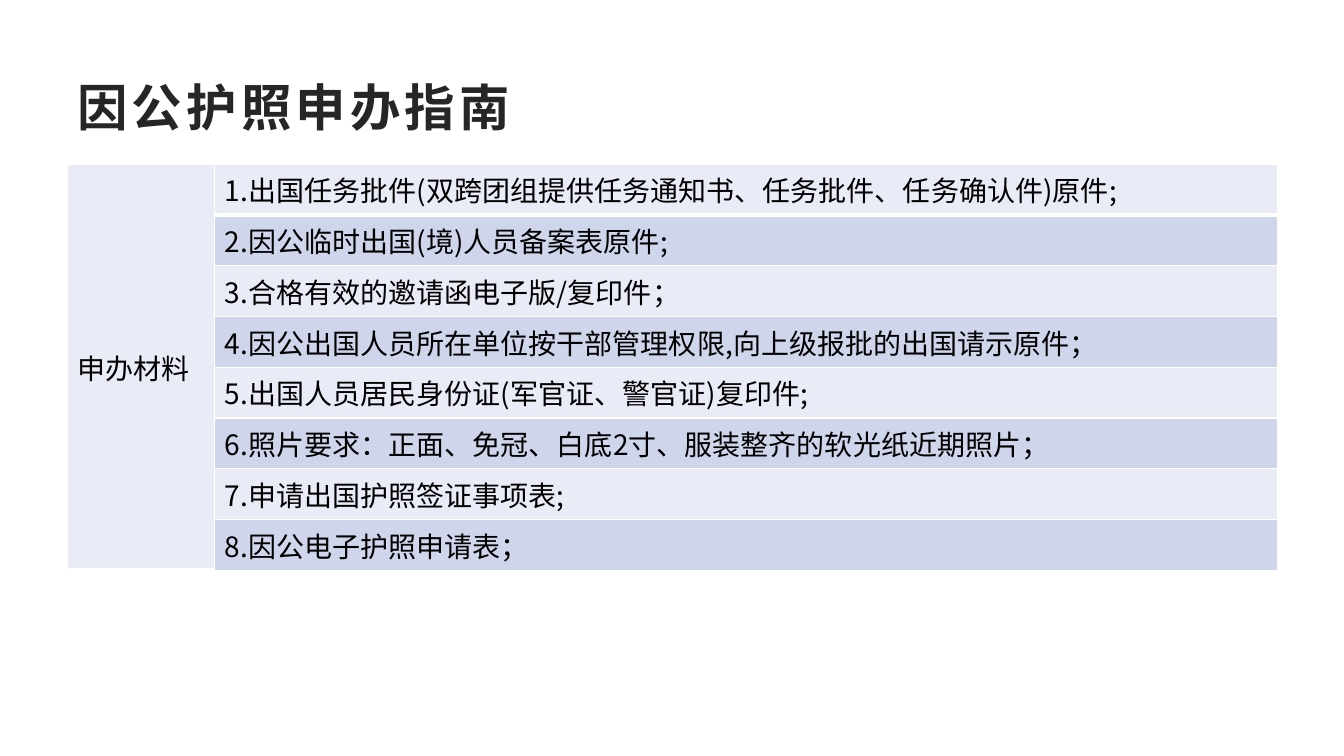
from lxml import etree
from pptx import Presentation
from pptx.dml.color import RGBColor
from pptx.enum import text
from pptx.oxml import ns
from pptx.util import Inches, Pt

TITLE = "因公护照申办指南"
CATEGORY = "申办材料"
MATERIALS = [
    "1.出国任务批件(双跨团组提供任务通知书、任务批件、任务确认件)原件;",
    "2.因公临时出国(境)人员备案表原件;",
    "3.合格有效的邀请函电子版/复印件；",
    "4.因公出国人员所在单位按干部管理权限,向上级报批的出国请示原件；",
    "5.出国人员居民身份证(军官证、警官证)复印件;",
    "6.照片要求：正面、免冠、白底2寸、服装整齐的软光纸近期照片；",
    "7.申请出国护照签证事项表;",
    "8.因公电子护照申请表；",
]

FONT = "Noto Sans CJK SC"
TITLE_COLOR = RGBColor(0x26, 0x26, 0x26)
TEXT_COLOR = RGBColor(0x00, 0x00, 0x00)
LIGHT_BAND = RGBColor(0xE9, 0xEB, 0xF6)
DARK_BAND = RGBColor(0xCF, 0xD6, 0xEC)
HEAD_FILL = RGBColor(0xE9, 0xEC, 0xF6)
BORDER_COLOR = RGBColor(0xFF, 0xFF, 0xFF)

LEFT, WIDTH = 0.67, 12
COLUMN_WIDTHS = [1.46, 10.54]
TABLE_HEIGHT = 4.03


def add_run(paragraph, content, size, color, bold=False):
    run = paragraph.add_run()
    run.text = content
    run.font.size = Pt(size)
    run.font.bold = bold
    run.font.color.rgb = color
    run.font.name = FONT
    properties = run.font._element
    properties.set("lang", "zh-CN")
    east_asian = etree.SubElement(properties, ns.qn("a:ea"))
    east_asian.set("typeface", FONT)
    return run


def set_borders(cell, top, bottom):
    """Draw the four cell borders; top and bottom widths are in points."""
    properties = cell._tc.get_or_add_tcPr()
    for side, width in (("L", 1), ("R", 1), ("T", top), ("B", bottom)):
        line = etree.SubElement(properties, ns.qn("a:ln" + side), w=str(Pt(width)))
        fill = etree.SubElement(line, ns.qn("a:solidFill"))
        etree.SubElement(fill, ns.qn("a:srgbClr"), val=str(BORDER_COLOR))


def fill_cell(cell, color):
    cell.fill.solid()
    cell.fill.fore_color.rgb = color


def add_title(slide):
    box = slide.shapes.add_textbox(
        Inches(LEFT), Inches(0.67), Inches(WIDTH), Inches(0.77))
    frame = box.text_frame
    frame.word_wrap = True
    frame.vertical_anchor = text.MSO_ANCHOR.MIDDLE
    run = add_run(frame.paragraphs[0], TITLE, 36, TITLE_COLOR, bold=True)
    run.font._element.set("spc", "300")


def add_materials_table(slide):
    count = len(MATERIALS)
    table = slide.shapes.add_table(
        count, 2, Inches(LEFT), Inches(1.63),
        Inches(WIDTH), Inches(TABLE_HEIGHT)).table
    for column, width in zip(table.columns, COLUMN_WIDTHS):
        column.width = Inches(width)

    for index, material in enumerate(MATERIALS):
        table.rows[index].height = Inches(TABLE_HEIGHT / count)
        category_cell, material_cell = table.cell(index, 0), table.cell(index, 1)
        set_borders(category_cell, 1, 3)
        fill_cell(category_cell, HEAD_FILL)
        set_borders(material_cell, 3 if index == 1 else 1, 3 if index == 0 else 1)
        fill_cell(material_cell, DARK_BAND if index % 2 else LIGHT_BAND)
        add_run(material_cell.text_frame.paragraphs[0], material, 20, TEXT_COLOR)
    fill_cell(table.cell(0, 1), HEAD_FILL)

    category = table.cell(0, 0)
    category.merge(table.cell(count - 1, 0))
    category.vertical_anchor = text.MSO_ANCHOR.MIDDLE
    add_run(category.text_frame.paragraphs[0], CATEGORY, 20, TEXT_COLOR)


def main():
    presentation = Presentation()
    presentation.slide_width = Inches(13.33)
    presentation.slide_height = Inches(7.5)
    slide = presentation.slides.add_slide(presentation.slide_layouts[6])
    add_title(slide)
    add_materials_table(slide)
    presentation.save("out.pptx")


if __name__ == "__main__":
    main()
